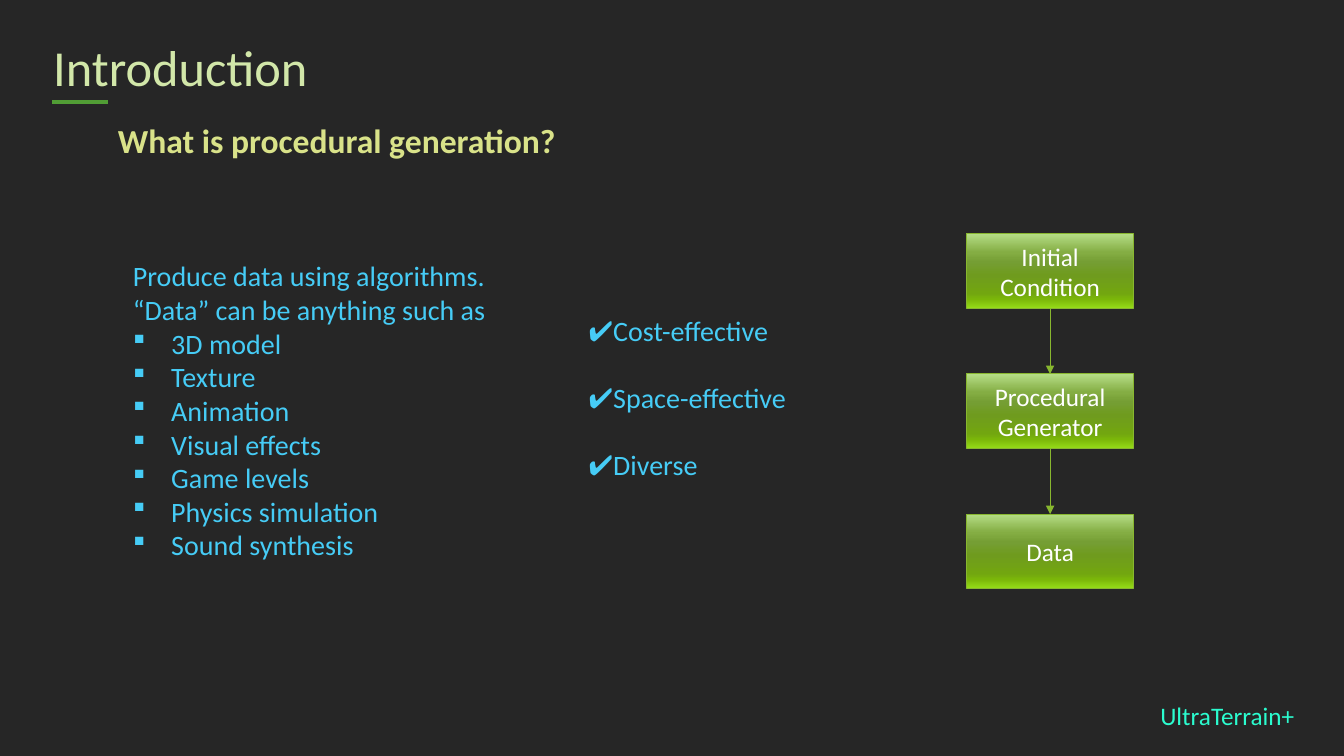
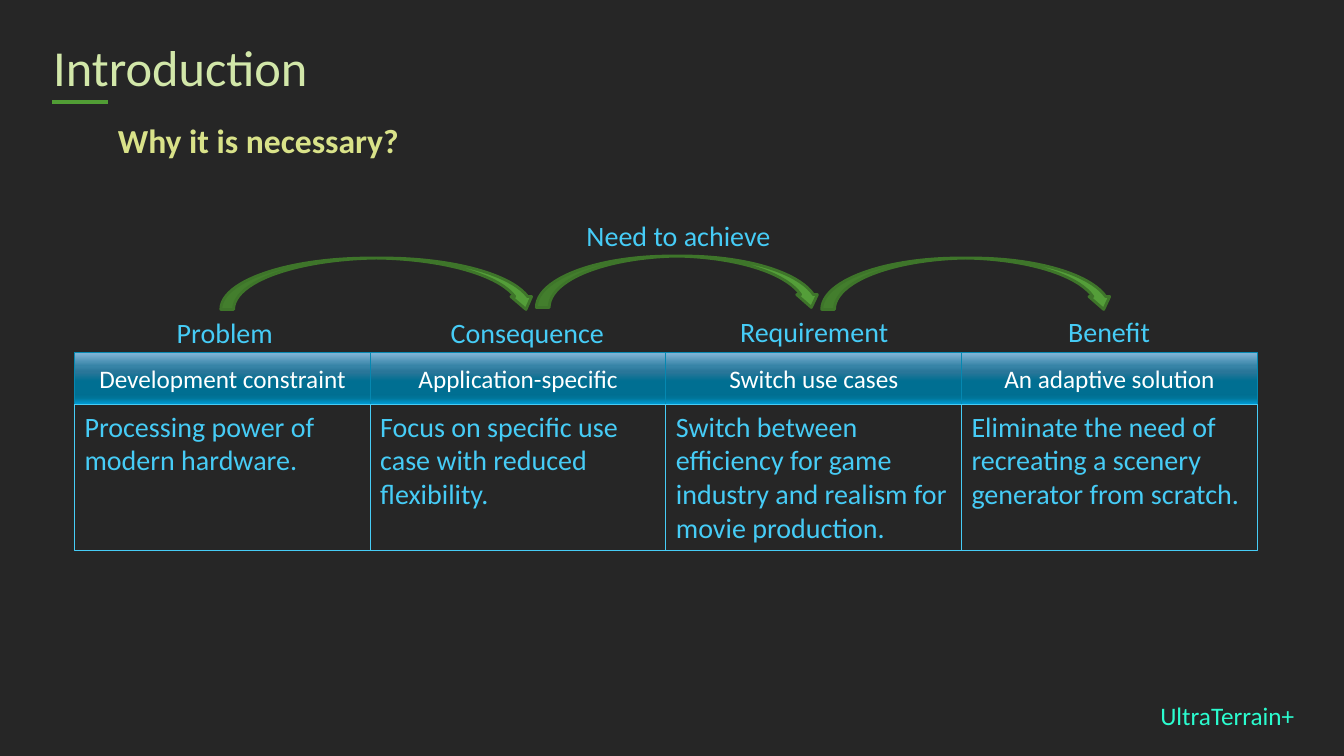
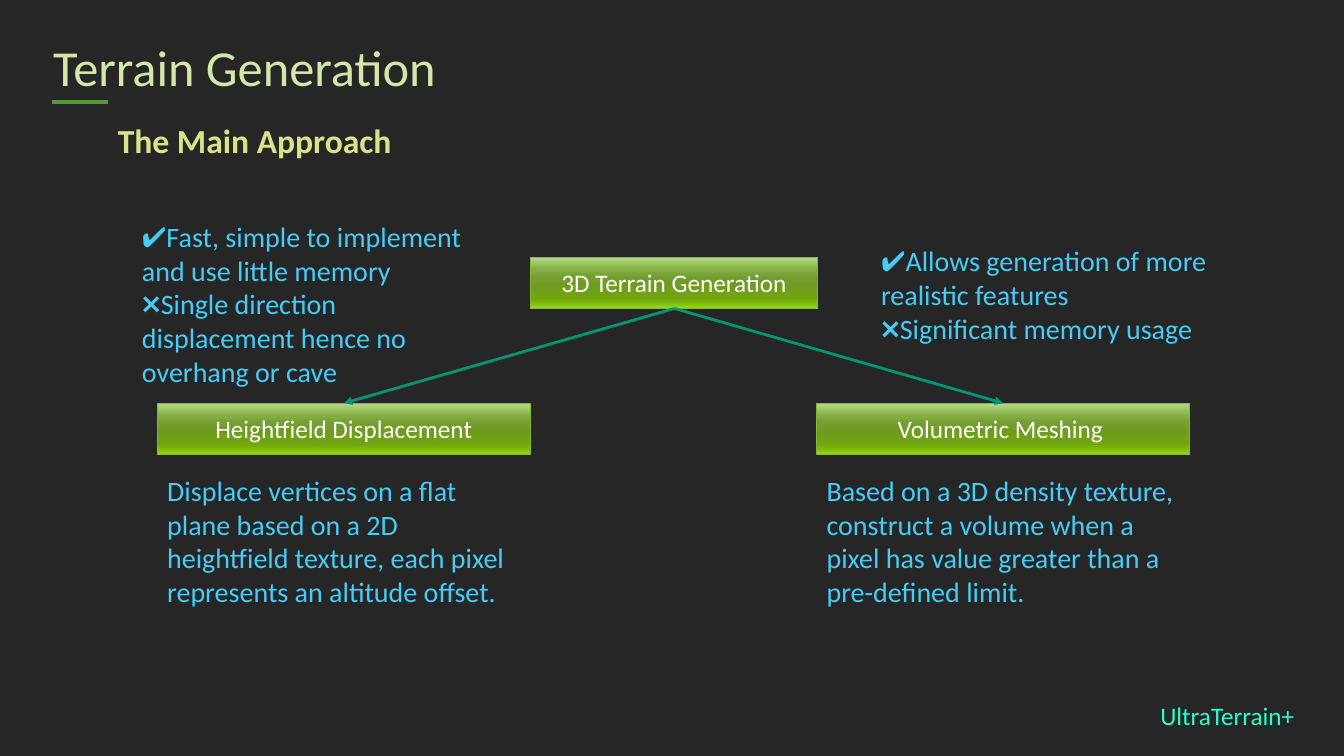
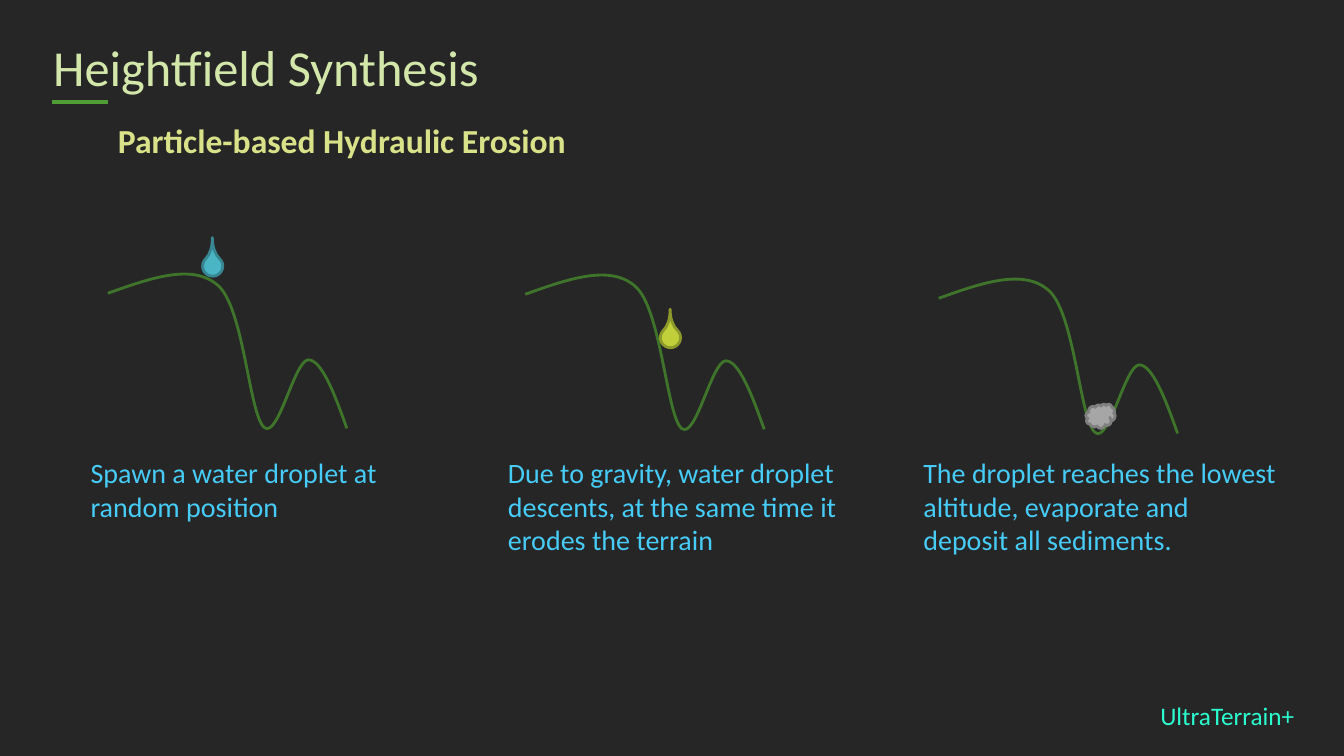
"""Build four dark slides on procedural terrain generation."""
from lxml import etree
from pptx import Presentation, util as u
from pptx.dml.color import RGBColor
from pptx.enum import shapes, text
from pptx.oxml.ns import qn

HUE = dict(
    back="262626", brand="2BFCCF", bar="519D35", title="D2E7A9", sub="D9E289",
    body="46CCF6", white="FFFFFF", lime="88B72F", sea="0588B1", teal="029676",
    leaf="549E39", moss="3E752A", water="4AB5C4", tide="378691",
    mud="C0CF3A", silt="8E992B", rock="A6A6A6", ash="808080")
STOPS = (0, 25, 38, 55, 80, 88, 100)
GLOSS = dict(
    lime="B5DD86 84AD43 759E34 6F9B1E 72A610 7BB709 96DC18".split(),
    sea="82B6D8 3784A7 297699 006F92 006E91 007498 009BD5".split())
FONT = "Calibri"
BRAND = "UltraTerrain+"
KIND = shapes.MSO_SHAPE
LEFT, MID = text.PP_ALIGN.LEFT, text.PP_ALIGN.CENTER
ROW = 0.51

HEADS = [
    ("Introduction", "What is procedural generation?"),
    ("Introduction", "Why it is necessary?"),
    ("Terrain Generation", "The Main Approach"),
    ("Heightfield Synthesis", "Particle-based Hydraulic Erosion")]
LEAD = ["Produce data using algorithms.", "“Data” can be anything such as"]
ITEMS = ["3D model", "Texture", "Animation", "Visual effects", "Game levels",
         "Physics simulation", "Sound synthesis"]
GAINS = ["✔Cost-effective", "✔Space-effective", "✔Diverse"]
STEPS = [["Initial", "Condition"], ["Procedural", "Generator"], ["Data"]]

CHAIN = [
    ("Problem", (1.53, 3.08, 1.4, 0.44), "Development constraint",
     "Processing power of modern hardware."),
    ("Consequence", (4.32, 3.08, 1.82, 0.44), "Application-specific",
     "Focus on specific use case with reduced flexibility."),
    ("Requirement", (7.17, 3.07, 1.81, 0.44), "Switch use cases",
     "Switch between efficiency for game industry and realism for movie "
     "production."),
    ("Benefit", (10.37, 3.07, 1.26, 0.44), "An adaptive solution",
     "Eliminate the need of recreating a scenery generator from scratch.")]
HOPS = [(2.19, 2.56, 3.13), (5.32, 2.54, 2.83), (8.15, 2.56, 2.9)]

ROOT = "3D Terrain Generation"
WAYS = [
    (1.56, "Heightfield Displacement",
     "Displace vertices on a flat plane based on a 2D heightfield texture, "
     "each pixel represents an altitude offset.",
     (1.31, 2.13, 3.7, 1.78),
     ["✔Fast, simple to implement and use little memory",
      "❌Single direction displacement hence no overhang or cave"]),
    (8.1, "Volumetric Meshing ",
     "Based on a 3D density texture, construct a volume when a pixel has "
     "value greater than a pre-defined limit.",
     (8.64, 2.37, 3.7, 1.11),
     ["✔Allows generation of more realistic features",
      "❌Significant memory usage"])]

HILL = [(0, 0.19), (0.42, 0.04), (0.84, -0.11), (1.09, 0.11), (1.35, 0.33),
        (1.4, 1.39), (1.55, 1.52), (1.69, 1.64), (1.85, 0.85), (1.99, 0.85),
        (2.12, 0.85), (2.25, 1.19), (2.37, 1.53)]
TALL = 1.54
DROP, PUFF = (KIND.TEAR, 0.2, 0.2, 314.3, [2]), (KIND.CLOUD, 0.29, 0.24, 0, [])
STAGES = [
    (0.8, (1.07, 2.72), DROP, (2.01, 2.54), "water", "tide",
     "Spawn a water droplet at random position"),
    (4.94, (5.21, 2.73), DROP, (6.55, 3.25), "mud", "silt",
     "Due to gravity, water droplet descents, at the same time it erodes "
     "the terrain"),
    (9.06, (9.31, 2.77), PUFF, (10.77, 4.01), "rock", "ash",
     "The droplet reaches the lowest altitude, evaporate and deposit all "
     "sediments.")]


def tint(name):
    return RGBColor.from_string(HUE[name])


def inch(nums):
    return [u.Inches(n) for n in nums]


def add(host, tag, **kw):
    return etree.SubElement(host, qn(tag), kw)


def write(shape, words, size=20, hue="body", bold=False, align=LEFT,
          anchor="TOP", wrap=True, lead=None, gap=0, dots=0):
    """Fill a shape with paragraphs; those from index dots on get bullets."""
    frame = shape.text_frame
    frame.word_wrap = wrap
    frame.vertical_anchor = getattr(text.MSO_ANCHOR, anchor)
    lines = [words] if isinstance(words, str) else words
    for i, line in enumerate(lines):
        para = frame.add_paragraph() if i else frame.paragraphs[0]
        para.alignment = align
        if lead:
            para.line_spacing = lead
        if gap and i:
            para.space_before = u.Pt(gap)
        if dots and i >= dots:
            props = para._p.get_or_add_pPr()
            props.set("marL", str(u.Inches(0.38)))
            props.set("indent", str(u.Inches(-0.38)))
            add(props, "a:buFont", typeface="Wingdings", charset="2")
            add(props, "a:buChar", char="§")
        run = para.add_run()
        run.text = line
        font = run.font
        font.name, font.size, font.bold = FONT, u.Pt(size), bold
        font.color.rgb = tint(hue)


def label(slide, at, words, **kw):
    write(slide.shapes.add_textbox(*inch(at)), words, **kw)


def paint(shape, fill, line, width):
    shape.shadow.inherit = False
    if fill:
        shape.fill.solid()
        shape.fill.fore_color.rgb = tint(fill)
    else:
        shape.fill.background()
    shape.line.color.rgb = tint(line)
    shape.line.width = u.Pt(width)


def form(slide, kind, at, fill, line, width=2, adj=()):
    shape = slide.shapes.add_shape(kind, *inch(at))
    paint(shape, fill, line, width)
    for i, val in enumerate(adj):
        shape.adjustments[i] = val
    return shape


def gloss(slide, at, words, hue="lime"):
    box = form(slide, KIND.RECTANGLE, at, None, hue, 0.75)
    box.fill.gradient()
    box.fill.gradient_angle = 270
    stops = box._element.spPr.find(".//" + qn("a:gsLst"))
    for old in list(stops):
        stops.remove(old)
    for pos, code in zip(STOPS, GLOSS[hue]):
        add(add(stops, "a:gs", pos=str(pos * 1000)), "a:srgbClr", val=code)
    write(box, words, size=18, hue="white", align=MID, anchor="MIDDLE")


def rule(slide, start, end, hue, width, arrow=True):
    line = slide.shapes.add_connector(
        shapes.MSO_CONNECTOR.STRAIGHT, *inch(start + end))
    line.line.color.rgb = tint(hue)
    line.line.width = u.Pt(width)
    if arrow:
        add(line.line._get_or_add_ln(), "a:tailEnd", type="triangle")
    add(line._element.spPr, "a:effectLst")


def slope(slide, base):
    """Draw the hill as cubic curves whose box starts at base."""
    dots = [inch((base[0] + x, base[1] + y)) for x, y in HILL]
    pen = slide.shapes.build_freeform(*dots[0])
    pen.add_line_segments(dots[1:], close=False)
    hill = pen.convert_to_shape()
    paint(hill, None, "moss", 2)
    track = hill._element.spPr.find(".//" + qn("a:path"))
    lift = u.Inches(base[1]) - hill.top
    for dot in track.iter(qn("a:pt")):
        dot.set("y", str(int(dot.get("y")) - lift))
    lines = track.findall(qn("a:lnTo"))
    for k in range(0, len(lines), 3):
        bend = add(track, "a:cubicBezTo")
        for line in lines[k:k + 3]:
            bend.append(line[0])
            track.remove(line)
    hill.top, hill.height = inch((base[1], TALL))
    track.set("h", str(u.Inches(TALL)))


def define(slide):
    label(slide, (1.22, 2.52, 4.52, 3.13), LEAD + ITEMS, dots=len(LEAD))
    label(slide, (5.74, 3.06, 2.81, 1.78), GAINS, gap=24)
    left, top, wide, high, pitch = 9.59, 2.32, 1.65, 0.74, 1.39
    for i, words in enumerate(STEPS):
        y = top + i * pitch
        gloss(slide, (left, y, wide, high), words)
        if i:
            x = left + wide / 2
            rule(slide, (x, y - pitch + high), (x, y), "lime", 0.75)


def argue(slide):
    left, right, top = 0.74, 12.47, 3.5
    wide = (right - left) / len(CHAIN)
    for i, (name, at, head, body) in enumerate(CHAIN):
        x = left + i * wide
        gloss(slide, (x, top, wide, ROW), head, "sea")
        cell = form(slide, KIND.RECTANGLE, (x, top + ROW, wide, 1.45),
                    None, "body", 0.75)
        write(cell, body)
        label(slide, at, name, align=MID)
    for x, y, span in HOPS:
        form(slide, KIND.CURVED_DOWN_ARROW, (x, y, span, ROW),
             "leaf", "moss", adj=(0.25, 0.403, 0.25))
    label(slide, (5.65, 2.12, 2.16, 0.44), "Need to achieve", align=MID)


def split(slide):
    top, low, wide = 2.55, 4, 3.7
    gloss(slide, (5.26, top, 2.85, ROW), ROOT)
    for x, name, body, at, notes in WAYS:
        gloss(slide, (x, low, wide, ROW), name)
        rule(slide, (6.69, top + ROW), (x + wide / 2, low), "teal", 2)
        label(slide, (x, 4.65, wide, 1.45), body)
        label(slide, at, notes)


def erode(slide):
    for x, base, mark, spot, fill, edge, words in STAGES:
        slope(slide, base)
        kind, wide, high, turn, adj = mark
        blob = form(slide, kind, spot + (wide, high), fill, edge, adj=adj)
        blob.rotation = turn
        label(slide, (x, 4.47, 3.7, 1.11), words)


def main():
    deck = Presentation()
    deck.slide_width, deck.slide_height = inch((13.33, 7.5))
    back = deck.slide_master.background.fill
    back.solid()
    back.fore_color.rgb = tint("back")
    for (title, sub), draw in zip(HEADS, (define, argue, split, erode)):
        slide = deck.slides.add_slide(deck.slide_layouts[6])
        label(slide, (11.41, 6.9, 1.63, 0.4), BRAND, size=18, hue="brand",
              wrap=False)
        rule(slide, (0.52, 1.01), (1.07, 1.01), "bar", 3, arrow=False)
        label(slide, (0.43, 0.38, 7.94, 0.63), title, size=36, hue="title",
              anchor="MIDDLE", lead=0.9)
        label(slide, (1.07, 1.2, 7.85, 0.42), sub, size=24, hue="sub",
              bold=True, anchor="MIDDLE", lead=0.9)
        draw(slide)
    deck.save("out.pptx")


main()
